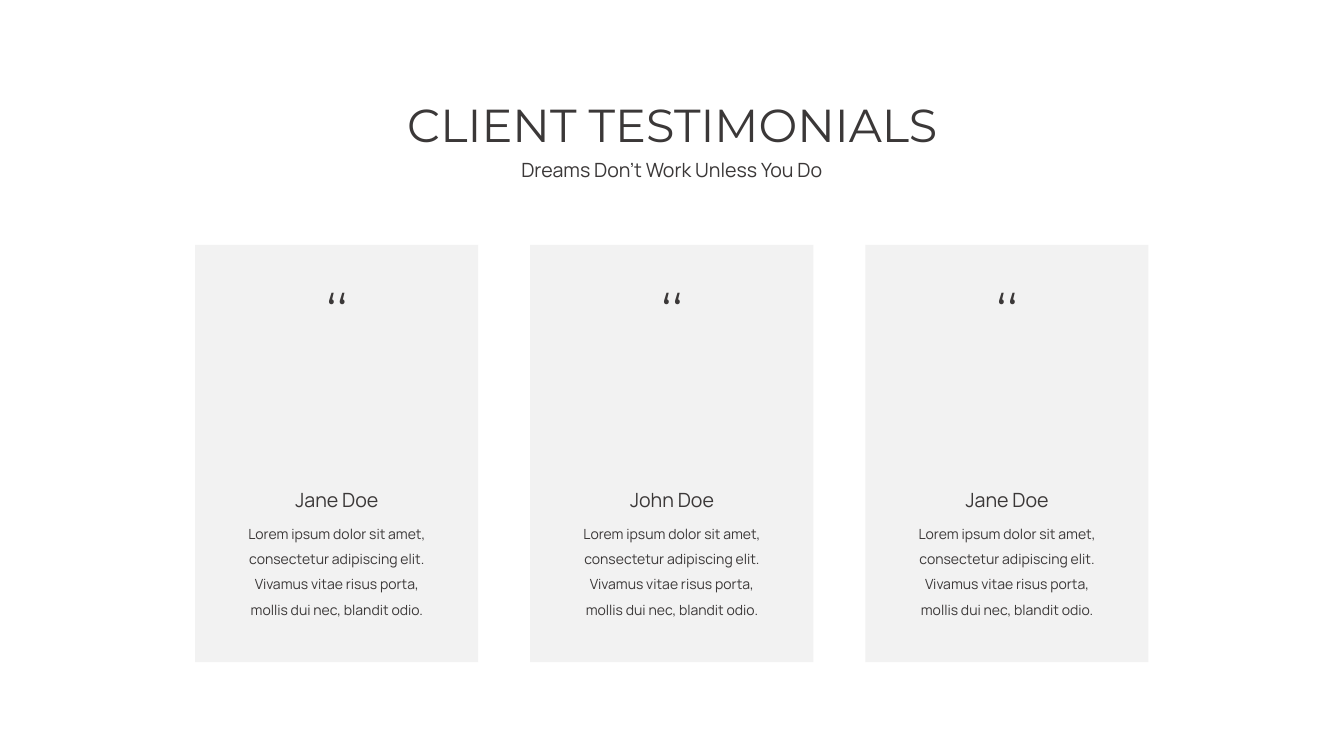
from dataclasses import dataclass

from pptx import Presentation
from pptx.dml.color import RGBColor
from pptx.enum.shapes import MSO_SHAPE as Shape
from pptx.enum.text import MSO_AUTO_SIZE as AutoSize, PP_ALIGN as Align
from pptx.util import Emu, Pt

PX = 9144  # EMU per px, 100 px to the inch


@dataclass(frozen=True)
class Theme:
    ink: str = "3B3838"
    card: str = "F2F2F2"
    display_font: str = "Montserrat"
    body_font: str = "Manrope"
    display_size: int = 66
    name_size: int = 28
    quote_size: int = 20


class SlideBuilder:
    def __init__(self, slide, theme):
        self.slide = slide
        self.theme = theme

    def panel(self, *box):
        panel = self.slide.shapes.add_shape(Shape.RECTANGLE, *(Emu(v * PX) for v in box))
        panel.shadow.inherit = False
        panel.fill.solid()
        panel.fill.fore_color.rgb = RGBColor.from_string(self.theme.card)
        panel.line.fill.background()

    def text(self, words, *box, font, size, line_spacing=1.0):
        frame = self.slide.shapes.add_textbox(*(Emu(v * PX) for v in box)).text_frame
        frame.word_wrap = True
        frame.auto_size = AutoSize.SHAPE_TO_FIT_TEXT
        paragraph = frame.paragraphs[0]
        paragraph.alignment = Align.CENTER
        paragraph.line_spacing = line_spacing
        run = paragraph.add_run()
        run.text = words
        for attribute, value in {"name": font, "size": Pt(size)}.items():
            setattr(run.font, attribute, value)
        run.font.color.rgb = RGBColor.from_string(self.theme.ink)

    def display(self, words, *box):
        self.text(words, *box, font=self.theme.display_font, size=self.theme.display_size)

    def label(self, words, *box):
        self.text(words, *box, font=self.theme.body_font, size=self.theme.name_size)

    def body(self, words, *box):
        self.text(words, *box, font=self.theme.body_font, size=self.theme.quote_size,
                  line_spacing=1.5)

    def testimonial(self, left, name, quote):
        self.panel(left, 486, 562, 828)
        self.display("‘‘", left + 234, 554, 95, 121)
        self.label(name, left + 72, 964, 419, 57)
        self.body(quote, left + 72, 1021, 419, 212)


def main():
    deck = Presentation()
    deck.slide_width, deck.slide_height = Emu(2667 * PX), Emu(1500 * PX)
    builder = SlideBuilder(deck.slides.add_slide(deck.slide_layouts[6]), Theme())

    # Heading
    builder.display("CLIENT TESTIMONIALS", 367, 186, 1934, 121)
    builder.label("Dreams Don’t Work Unless You Do", 987, 308, 692, 57)

    # Testimonial cards, evenly spaced
    first_left, pitch = 387, 665
    quote = ("Lorem ipsum dolor sit amet, consectetur adipiscing elit. "
             "Vivamus vitae risus porta, mollis dui nec, blandit odio.")
    for column, client in enumerate(("Jane Doe", "John Doe", "Jane Doe")):
        builder.testimonial(first_left + column * pitch, client, quote)

    deck.save("out.pptx")


if __name__ == "__main__":
    main()
